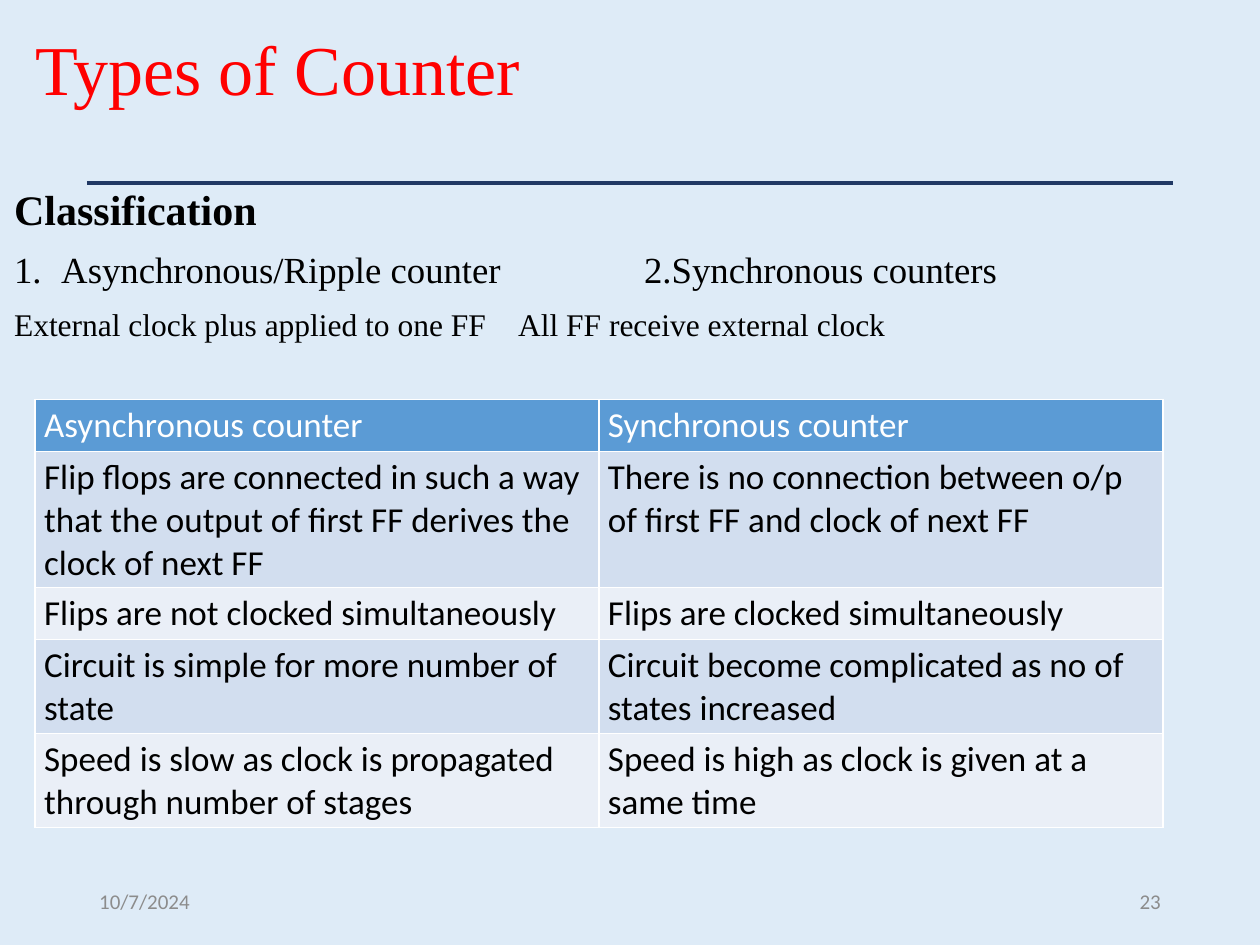
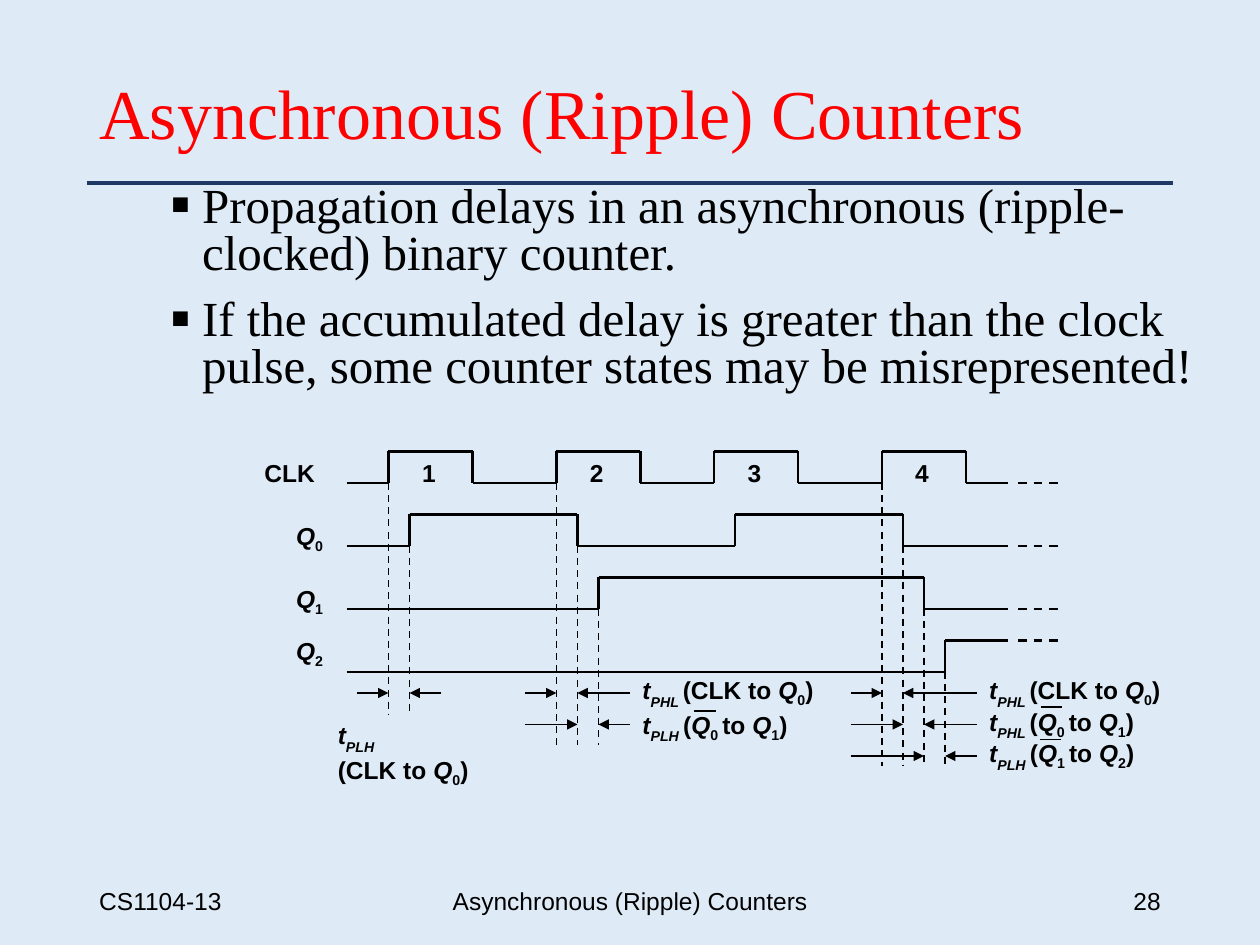
from dataclasses import dataclass
from itertools import pairwise
from typing import NamedTuple

from lxml import etree
from pptx import Presentation
from pptx import util as u
from pptx.dml.color import RGBColor
from pptx.enum import dml, shapes, text
from pptx.oxml.ns import qn

COLORS = {
    "page": "DEEBF7", "rule": "203864", "title": "FF0000", "ink": "000000",
    "muted": "8C8C8C", "white": "FFFFFF", "header": "5B9BD5",
    "band_dark": "D2DEEF", "band_light": "EAEFF7",
}
SERIF, SANS, TABLE_FONT = "Times New Roman", "Arial", "Calibri"
LEFT, CENTER, RIGHT = text.PP_ALIGN.LEFT, text.PP_ALIGN.CENTER, text.PP_ALIGN.RIGHT


class Style(NamedTuple):
    font: str
    size: float
    color: str = "ink"
    bold: bool = False


class Span(NamedTuple):
    text: str
    italic: bool = False
    baseline: int = 0


class Area(NamedTuple):
    left: float
    top: float
    width: float
    height: float

    def lengths(self) -> list:
        return [u.Cm(value) for value in self]


class Footer(NamedTuple):
    text: str
    left: float
    width: float
    align: text.PP_ALIGN


@dataclass
class Wave:
    low: int
    toggles: list[int]


@dataclass
class Guide:
    x: int
    top: int
    bottom: int


@dataclass
class DelayMark:
    y: int
    left_tail: int
    left_tip: int
    right_tip: int
    right_tail: int


@dataclass
class Label:
    area: Area
    lines: list[list[Span]]


TITLE = Style(SERIF, 40, "title")
BULLET = Style(SERIF, 28)
SIGNAL = Style(SANS, 14, bold=True)


def rgb(name: str) -> RGBColor:
    return RGBColor.from_string(COLORS[name])


def grid(twelfths: float) -> u.Cm:
    return u.Cm(twelfths * 2.54 / 12)


def add_span(para, span: Span, style: Style) -> None:
    run = para.add_run()
    run.text = span.text
    font = run.font
    font.name, font.size = style.font, u.Pt(style.size)
    font.bold, font.italic = style.bold, span.italic
    font.color.rgb = rgb(style.color)
    if span.baseline:
        run._r.get_or_add_rPr().set("baseline", str(span.baseline * 1000))


def add_line(page, start: tuple, end: tuple, color: str = "ink", width: float = 1.25,
             dashed: bool = False, arrow: bool = False) -> None:
    line = page.shapes.add_connector(shapes.MSO_CONNECTOR.STRAIGHT, *start, *end)
    line.line.color.rgb = rgb(color)
    line.line.width = u.Pt(width)
    if dashed:
        line.line.dash_style = dml.MSO_LINE.DASH
    if arrow:
        etree.SubElement(line.line._get_or_add_ln(), qn("a:tailEnd"), type="triangle")
    etree.SubElement(line._element.spPr, qn("a:effectLst"))


def add_grid_line(page, x1: float, y1: float, x2: float, y2: float, **look) -> None:
    add_line(page, (grid(x1), grid(y1)), (grid(x2), grid(y2)), **look)


def place(shape, area: Area) -> None:
    shape.left, shape.top, shape.width, shape.height = area.lengths()


def add_page(deck, title: str, title_area: Area, body_area: Area,
             footers: list[Footer], footer_style: Style):
    page = deck.slides.add_slide(deck.slide_layouts[1])
    add_line(page, (u.Cm(1.75), u.Cm(3.68)), (u.Cm(23.65), u.Cm(3.68)), "rule", 2.25)
    box = page.shapes.title
    place(box, title_area)
    box.text_frame.vertical_anchor = text.MSO_ANCHOR.MIDDLE
    box.text_frame.auto_size = text.MSO_AUTO_SIZE.NONE
    para = box.text_frame.paragraphs[0]
    para.alignment, para.line_spacing = LEFT, 0.9
    add_span(para, Span(title), TITLE)
    body = page.placeholders[1]
    place(body, body_area)
    body.text_frame.auto_size = text.MSO_AUTO_SIZE.NONE
    for footer in footers:
        area = Area(footer.left, 17.65, footer.width, 1.02)
        frame = page.shapes.add_textbox(*area.lengths()).text_frame
        frame.word_wrap = True
        frame.vertical_anchor = text.MSO_ANCHOR.MIDDLE
        frame.paragraphs[0].alignment = footer.align
        add_span(frame.paragraphs[0], Span(footer.text), footer_style)
    return page, body.text_frame


def next_paragraph(frame, index: int):
    return frame.add_paragraph() if index else frame.paragraphs[0]


def add_list_item(frame, index: int, words: str, style: Style, spacing: float,
                  before: float, bullet: str = "", hanging: float = 0,
                  tab: float = 0) -> None:
    para = next_paragraph(frame, index)
    para.alignment, para.line_spacing = LEFT, spacing
    para.space_before = u.Pt(before if index else 0)
    props = para._p.get_or_add_pPr()
    props.set("marL", str(u.Cm(hanging)))
    props.set("indent", str(-u.Cm(hanging)))
    if bullet == "1.":
        etree.SubElement(props, qn("a:buFont"), typeface=SERIF)
        etree.SubElement(props, qn("a:buAutoNum"), type="arabicPeriod")
    elif bullet:
        etree.SubElement(props, qn("a:buSzPct"), val="120000")
        etree.SubElement(props, qn("a:buFont"), typeface=SANS)
        etree.SubElement(props, qn("a:buChar"), char=bullet)
    else:
        etree.SubElement(props, qn("a:buNone"))
    if tab:
        stops = etree.SubElement(props, qn("a:tabLst"))
        etree.SubElement(stops, qn("a:tab"), pos=str(u.Cm(tab)), algn="l")
    add_span(para, Span(words), style)


def fill_cell(cell, words: str, fill: str, color: str) -> None:
    props = cell._tc.get_or_add_tcPr()
    for side in "LRTB":
        border = etree.SubElement(props, qn(f"a:ln{side}"), w=str(u.Pt(1)))
        solid = etree.SubElement(border, qn("a:solidFill"))
        etree.SubElement(solid, qn("a:srgbClr"), val=COLORS["white"])
    cell.fill.solid()
    cell.fill.fore_color.rgb = rgb(fill)
    cell.margin_left = cell.margin_right = u.Cm(0.18)
    cell.margin_top = cell.margin_bottom = u.Cm(0.1)
    add_span(cell.text_frame.paragraphs[0], Span(words), Style(TABLE_FONT, 20, color))


def add_comparison(page) -> None:
    rows = [
        (0.94, "Asynchronous counter", "Synchronous counter"),
        (2.34, "Flip flops are connected in such a way that the output of first FF "
               "derives the clock of next FF",
         "There is no connection between o/p of first FF and clock of next FF"),
        (0.94, "Flips are not clocked simultaneously",
         "Flips are clocked simultaneously"),
        (1.65, "Circuit is simple for more number of state",
         "Circuit become complicated as no of states increased"),
        (1.65, "Speed is slow as clock is propagated through number of stages",
         "Speed is high as clock is given at a same time"),
    ]
    area = Area(0.71, 8.05, 22.73, sum(row[0] for row in rows))
    table = page.shapes.add_table(len(rows), 2, *area.lengths()).table
    for index, (height, *cells) in enumerate(rows):
        table.rows[index].height = u.Cm(height)
        fill = "header" if index == 0 else ("band_light", "band_dark")[index % 2]
        for column, words in enumerate(cells):
            fill_cell(table.cell(index, column), words, fill,
                      "ink" if index else "white")


def build_types(deck) -> None:
    page, body = add_page(
        deck, "Types of Counter", Area(0.46, 0.43, 25.4, 2.06),
        Area(0.03, 3.68, 25.37, 11.71),
        [Footer("10/7/2024", 1.75, 5.72, LEFT), Footer("23", 17.93, 5.72, RIGHT)],
        Style(TABLE_FONT, 12, "muted"))
    add_list_item(body, 0, "Classification", Style(SERIF, 24, bold=True), 0.9, 10)
    add_list_item(body, 1, "Asynchronous/Ripple counter\t2.Synchronous counters",
                  Style(SERIF, 21), 0.9, 10, "1.", 0.95, 12.7)
    add_list_item(body, 2, "External clock plus applied to one FF\t"
                  "All FF receive external clock", Style(SERIF, 18), 0.9, 10, tab=13.3)
    add_comparison(page)


def output(digit: str) -> list[Span]:
    return [Span("Q", True), Span(digit, baseline=-25)]


def delay(edge: str) -> list[Span]:
    return [Span("t", True), Span(edge, True, -30)]


def ripple(source: str, target: str) -> list[Span]:
    return [Span("("), *output(f"{source} "), Span("to "), *output(target), Span(")")]


def add_label(page, label: Label) -> None:
    frame = page.shapes.add_textbox(*label.area.lengths()).text_frame
    frame.word_wrap = False
    frame.auto_size = text.MSO_AUTO_SIZE.SHAPE_TO_FIT_TEXT
    for index, spans in enumerate(label.lines):
        para = next_paragraph(frame, index)
        for span in spans:
            add_span(para, span, SIGNAL)


def add_wave(page, wave: Wave) -> None:
    level, high = wave.low, wave.low - 3
    points = [(33, level)]
    for x in wave.toggles:
        points.append((x, level))
        level = high if level == wave.low else wave.low
        points.append((x, level))
    points.append((96, level))
    for start, end in pairwise(points):
        add_grid_line(page, *start, *end)
    add_grid_line(page, 97, level, 101, level, dashed=True)


def add_timing_diagram(page) -> None:
    waves = [Wave(46, [37, 45, 53, 61, 68, 76, 84, 92]), Wave(52, [39, 55, 70, 86]),
             Wave(58, [57, 88]), Wave(64, [90])]
    guides = [Guide(37, 46, 68), Guide(39, 52, 68),
              Guide(53, 46, 71), Guide(55, 52, 71), Guide(57, 58, 71),
              Guide(84, 46, 73), Guide(86, 52, 73), Guide(88, 58, 73),
              Guide(90, 64, 73)]
    marks = [DelayMark(66, 34, 37, 39, 42), DelayMark(66, 50, 53, 55, 60),
             DelayMark(69, 50, 55, 57, 60), DelayMark(66, 81, 84, 86, 93),
             DelayMark(69, 81, 86, 88, 93), DelayMark(72, 81, 88, 90, 93)]
    clock_to_q0 = [Span("(CLK to "), *output("0"), Span(")")]
    labels = [Label(Area(5.08, 9.1, 1.52, 0.84), [[Span("CLK")]])]
    for number, left in enumerate((8.26, 11.64, 14.82, 18.2), 1):
        labels.append(Label(Area(left, 9.1, 0.79, 0.84), [[Span(str(number))]]))
    for digit, top in enumerate((10.37, 11.64, 12.7)):
        labels.append(Label(Area(5.72, top, 1.12, 0.84), [output(str(digit))]))
    labels += [
        Label(Area(6.56, 14.4, 3.15, 1.45), [delay("PLH"), clock_to_q0]),
        Label(Area(12.7, 13.49, 4.04, 0.84), [delay("PHL ") + clock_to_q0]),
        Label(Area(12.7, 14.18, 3.48, 0.84), [delay("PLH ") + ripple("0", "1")]),
        Label(Area(19.69, 13.49, 4.04, 0.84), [delay("PHL ") + clock_to_q0]),
        Label(Area(19.69, 14.12, 3.48, 0.84), [delay("PHL ") + ripple("0", "1")]),
        Label(Area(19.69, 14.76, 3.48, 0.84), [delay("PLH ") + ripple("1", "2")]),
    ]
    for wave in waves:
        add_wave(page, wave)
    for guide in guides:
        add_grid_line(page, guide.x, guide.top, guide.x, guide.bottom,
                      width=1, dashed=True)
    for mark in marks:
        for tail, tip in ((mark.left_tail, mark.left_tip),
                          (mark.right_tail, mark.right_tip)):
            add_grid_line(page, tail, mark.y, tip, mark.y, width=1, arrow=True)
    for label in labels:
        add_label(page, label)
    for left, top in ((14.0, 14.33), (20.98, 14.25), (20.96, 14.91)):
        add_line(page, (u.Cm(left), u.Cm(top)), (u.Cm(left + 0.43), u.Cm(top)), width=1)


def build_ripple(deck) -> None:
    title = "Asynchronous (Ripple) Counters"
    page, body = add_page(
        deck, title, Area(1.75, 1.02, 21.9, 2.67), Area(3.18, 3.61, 21.59, 4.65),
        [Footer("CS1104-13", 1.75, 5.72, LEFT), Footer(title, 8.41, 8.59, CENTER),
         Footer("28", 17.93, 5.72, RIGHT)], Style(SANS, 14))
    points = [
        "Propagation delays in an asynchronous (ripple-clocked) binary counter.",
        "If the accumulated delay is greater than the clock pulse, some counter "
        "states may be misrepresented!",
    ]
    for index, words in enumerate(points):
        add_list_item(body, index, words, BULLET, 0.8, 11.2, "▪", 0.64)
    add_timing_diagram(page)


def main() -> None:
    deck = Presentation()
    deck.slide_width, deck.slide_height = u.Cm(25.4), u.Cm(19.05)
    background = deck.slide_master.background.fill
    background.solid()
    background.fore_color.rgb = rgb("page")
    build_types(deck)
    build_ripple(deck)
    deck.save("out.pptx")


if __name__ == "__main__":
    main()
